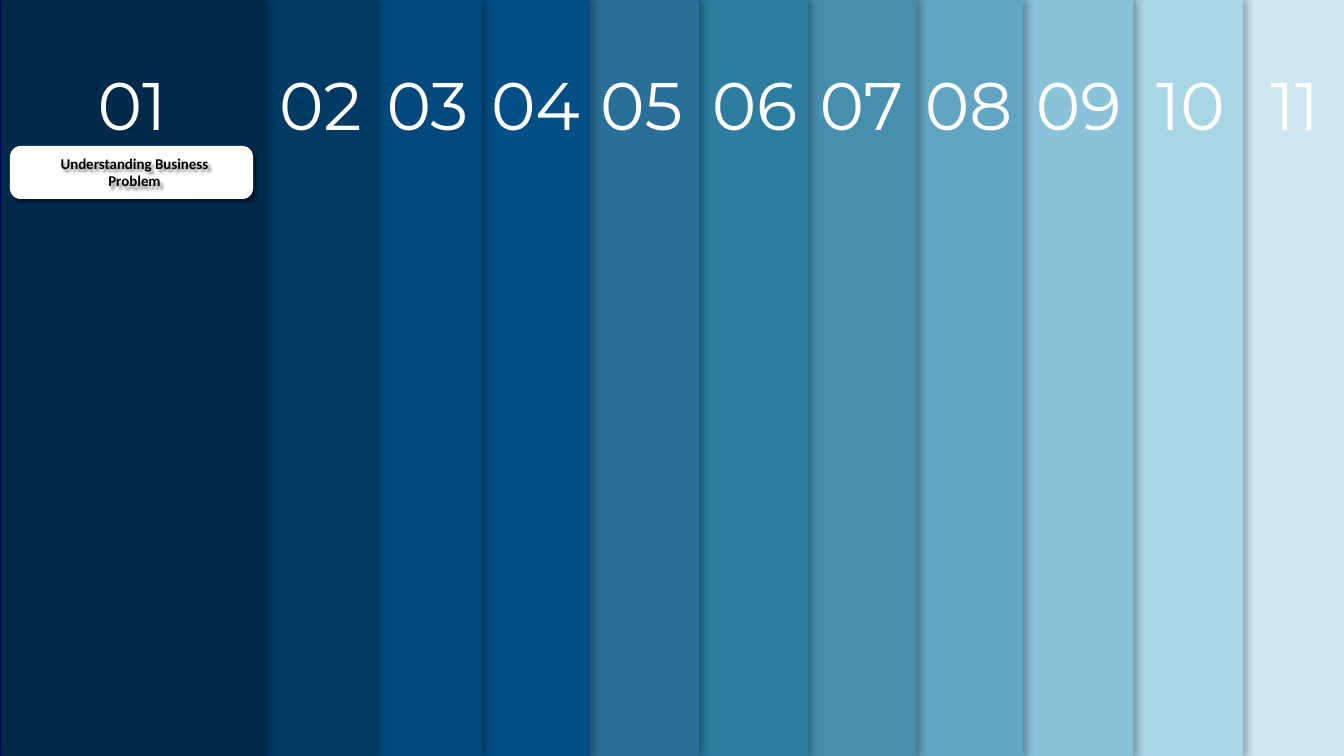
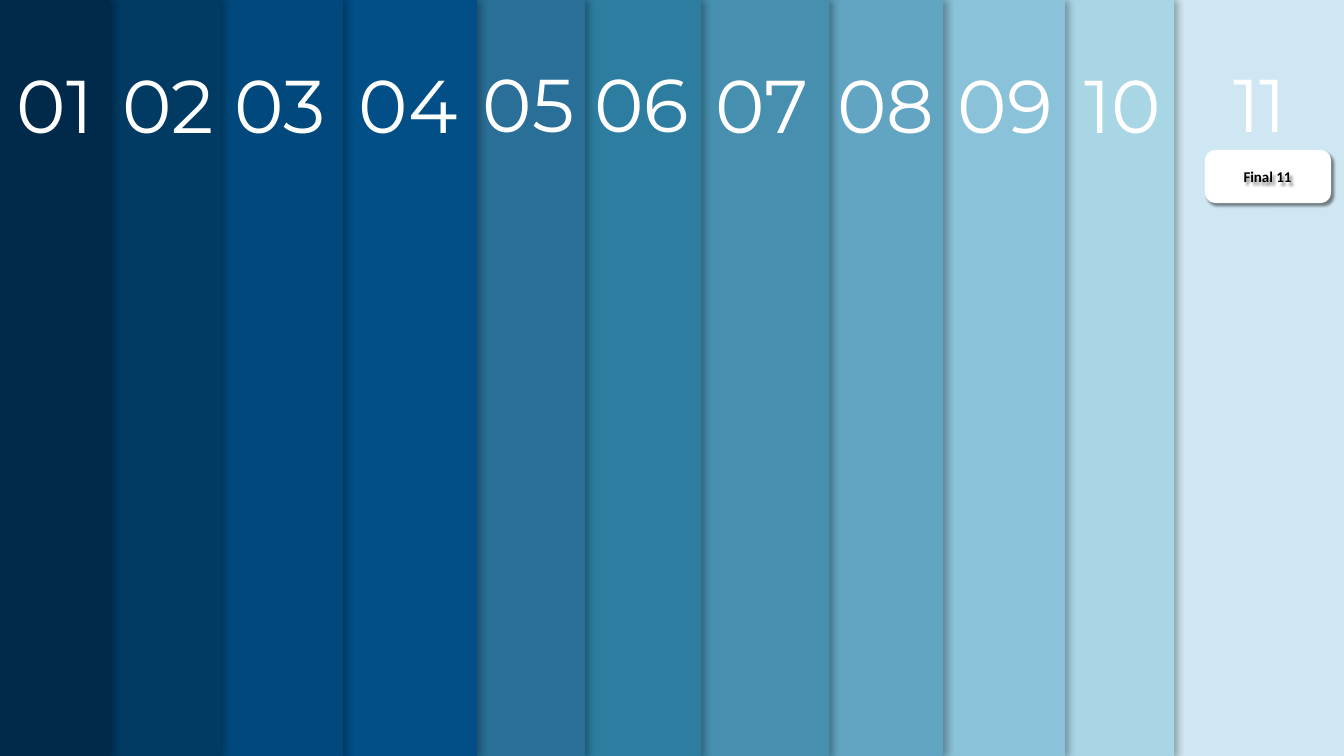
from pptx import Presentation
from pptx.dml.color import RGBColor
from pptx.enum.shapes import MSO_SHAPE
from pptx.enum.text import MSO_ANCHOR, PP_ALIGN
from pptx.oxml import parse_xml
from pptx.oxml.ns import nsdecls
from pptx.util import Emu, Pt

RECT = MSO_SHAPE.RECTANGLE
ROUND = MSO_SHAPE.ROUNDED_RECTANGLE
MIDDLE = MSO_ANCHOR.MIDDLE
CENTER = PP_ALIGN.CENTER

PX = 914400 / 67.2
WIDE, HIGH = 1344, 756
BACK = "03045E"
WHITE = "FFFFFF"
BLACK = "000000"
BLUES = ["012A4A", "013A63", "01497C", "014F86", "2A6F97", "2C7DA0",
         "468FAF", "61A5C2", "89C2D9", "A9D6E5", "CFE7F2"]

SHADE = (f'<a:effectLst {nsdecls("a")}>'
         '<a:outerShdw blurRad="%d" dist="%d" dir="%d" algn="l" rotWithShape="0">'
         '<a:srgbClr val="000000"><a:alpha val="%d"/></a:srgbClr>'
         '</a:outerShdw></a:effectLst>')
BAND_SHADE = SHADE % (Pt(8), Pt(3), 0, 30000)
CARD_SHADE = SHADE % (Pt(3), Pt(4), 50 * 60000, 45000)

# Each band: left, width; left, top and width of its number
SLIDES = [
    dict(size=72, card=(10, 146, 243, 53), label=(48, 150, 173, 44),
         text="Understanding Business Problem",
         bands=[(1, 264, -6, 31, 276), (265, 110, 198, 31, 245),
                (372, 110, 305, 31, 245), (480, 110, 413, 31, 245),
                (589, 110, 519, 31, 245), (698, 110, 632, 31, 245),
                (806, 110, 739, 31, 245), (913, 110, 846, 31, 245),
                (1023, 110, 956, 31, 245), (1133, 110, 1068, 31, 245),
                (1242, 110, 1246, 31, 98)]),
    dict(size=80, card=(1205, 150, 126, 53), label=(1225, 157, 85, 40),
         text="Final 11",
         bands=[(0, 110, -82, 31, 274), (110, 110, 46, 31, 245),
                (218, 125, 222, 31, 116), (342, 135, 341, 31, 134),
                (472, 113, 466, 30, 125), (579, 122, 574, 30, 135),
                (695, 134, 686, 31, 152), (819, 124, 808, 31, 156),
                (935, 130, 922, 31, 167), (1052, 122, 1040, 31, 165),
                (1174, 178, 1177, 30, 166)]),
]


def panel(group, kind, box, fill, shade):
    """Add a filled shape with a soft shadow and no outline."""
    shape = group.shapes.add_shape(kind, *[Emu(round(n * PX)) for n in box])
    shape.fill.solid()
    shape.fill.fore_color.rgb = RGBColor.from_string(fill)
    shape.line.fill.background()
    shape._element.spPr.append(parse_xml(shade))
    return shape


def write(group, text, box, size, font, color, bold=False, wrap=True,
          pad=(7, 3), shade=None):
    shape = group.shapes.add_textbox(*[Emu(round(n * PX)) for n in box])
    if shade:
        shape._element.spPr.append(parse_xml(shade))
    frame = shape.text_frame
    frame.word_wrap = wrap
    frame.vertical_anchor = MIDDLE
    frame.margin_left = frame.margin_right = Emu(round(pad[0] * PX))
    frame.margin_top = frame.margin_bottom = Emu(round(pad[1] * PX))
    para = frame.paragraphs[0]
    para.alignment = CENTER
    run = para.add_run()
    run.text = text
    run.font.size = Pt(size)
    run.font.name = font
    run.font.bold = bold
    run.font.color.rgb = RGBColor.from_string(color)


deck = Presentation()
deck.slide_width = Emu(round(WIDE * PX))
deck.slide_height = Emu(round(HIGH * PX))

for page in SLIDES:
    slide = deck.slides.add_slide(deck.slide_layouts[6])
    slide.background.fill.solid()
    slide.background.fill.fore_color.rgb = RGBColor.from_string(BACK)

    # Last band first, so that each one casts its shadow on the next
    bands = list(enumerate(zip(page["bands"], BLUES), 1))
    for num, ((left, width, start, top, span), blue) in reversed(bands):
        group = slide.shapes.add_group_shape()
        panel(group, RECT, (left, 0, width, HIGH), blue, BAND_SHADE)
        write(group, f"{num:02}", (start, top, span, 146),
              size=page["size"], font="Montserrat", color=WHITE)

    group = slide.shapes.add_group_shape()
    card = panel(group, ROUND, page["card"], WHITE, CARD_SHADE)
    card.adjustments[0] = 0.2
    write(group, page["text"], page["label"], size=16, font="Calibri",
          color=BLACK, bold=True, wrap=False, pad=(10, 5), shade=CARD_SHADE)

deck.save("out.pptx")
